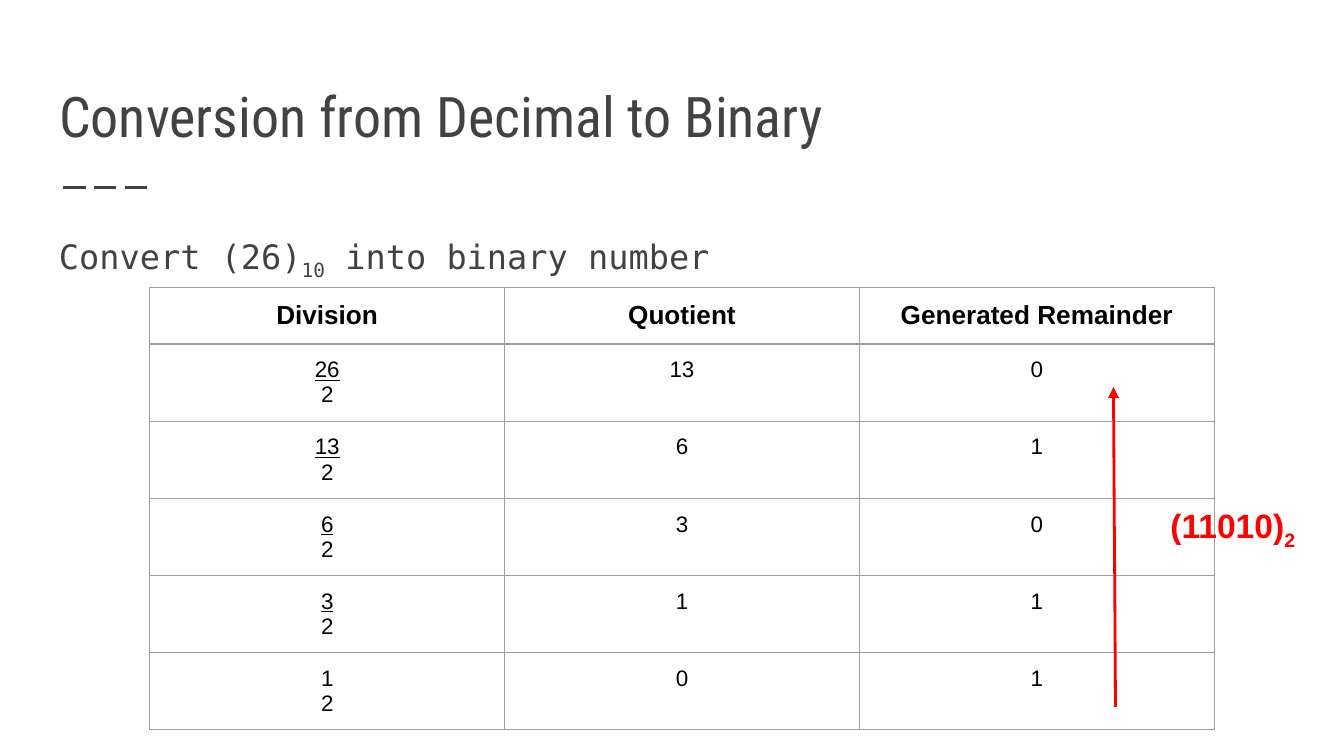
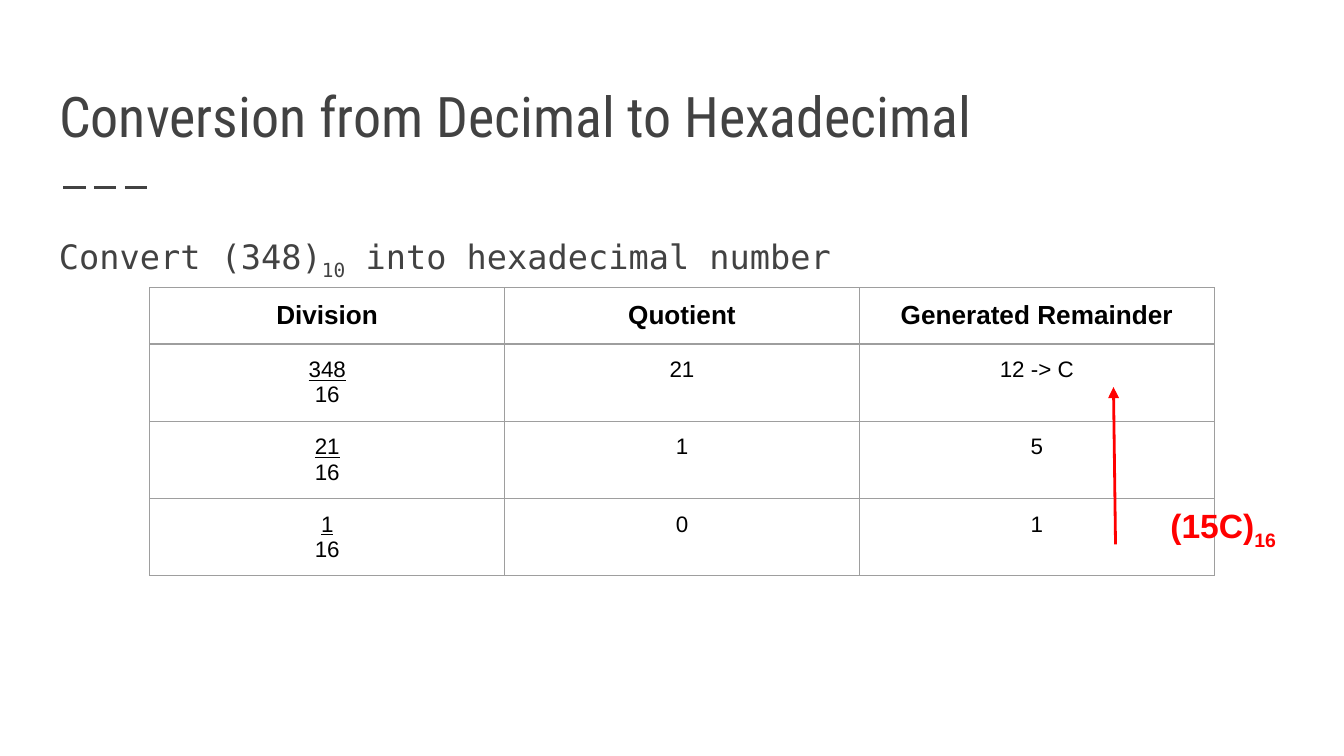
from dataclasses import dataclass
from typing import Any, NamedTuple

from lxml.etree import SubElement
from pptx import Presentation
from pptx.dml.color import RGBColor
from pptx.enum.dml import MSO_LINE
from pptx.enum.shapes import MSO_CONNECTOR
from pptx.enum.text import MSO_ANCHOR, MSO_AUTO_SIZE, PP_ALIGN
from pptx.oxml import parse_xml
from pptx.oxml.ns import nsdecls, qn
from pptx.util import Emu, Pt

EMU_PER_PX = 4572  # 200 px to the inch
COLORS = {"ink": "424242", "black": "000000", "border": "9E9E9E", "result": "FF0000"}
HEADINGS = ("Division", "Quotient", "Generated Remainder")
COLUMN_WIDTH = 528
ROW_HEIGHT = 84
FRAME_HEADER, FRAME_STEP = 86, 120
MARGINS = {f"margin_{side}": Emu(20 * EMU_PER_PX)
           for side in ("left", "top", "right", "bottom")}
FRAME_FORMAT = {**MARGINS, "word_wrap": True, "auto_size": MSO_AUTO_SIZE.NONE}

TITLE = {"name": "Roboto Condensed", "size": Pt(30), "color": "ink"}
TASK = {"name": "DejaVu Sans Mono", "size": Pt(18), "color": "ink"}
HEADING = {"name": "Arial", "size": Pt(14), "bold": True, "color": "black"}
CELL = {"name": "Arial", "size": Pt(12), "bold": False, "color": "black"}
RESULT = {"name": "Arial", "size": Pt(18), "bold": True, "color": "result"}


class Box(NamedTuple):
    left: int
    top: int
    width: int
    height: int


class Point(NamedTuple):
    x: int
    y: int


class Step(NamedTuple):
    dividend: str
    quotient: str
    remainder: str
    underlined: bool = True


@dataclass(frozen=True)
class Conversion:
    target: str
    number: str
    base: str
    digits: str
    arrow_start: int
    steps: tuple[Step, ...]


TITLE_BOX = Box(68, 82, 1864, 160)
TASK_BOX = Box(68, 321, 1864, 678)
RESULT_BOX = Box(1722, 732, 250, 160)
TABLE_CORNER = Point(223, 428)
DASHES_START, DASHES_END = Point(94, 279), Point(228, 279)
ARROW_FOOT_X, ARROW_TIP = 1660, Point(1657, 576)

CONVERSIONS = (
    Conversion("Binary", "26", "2", "11010", 1052, (
        Step("26", "13", "0"),
        Step("13", "6", "1"),
        Step("6", "3", "0"),
        Step("3", "1", "1"),
        Step("1", "0", "1", underlined=False),
    )),
    Conversion("Hexadecimal", "348", "16", "15C", 810, (
        Step("348", "21", "12 -> C"),
        Step("21", "1", "5"),
        Step("1", "0", "1"),
    )),
)


def px(*lengths: int) -> list[Emu]:
    return [Emu(length * EMU_PER_PX) for length in lengths]


def apply(target: Any, values: dict[str, Any]) -> None:
    """Set each attribute of target; color is a key of COLORS."""
    for name, value in values.items():
        if name == "color":
            target.color.rgb = RGBColor.from_string(COLORS[value])
        else:
            setattr(target, name, value)


def add_span(para: Any, text: str, style: dict[str, Any], subscript: bool = False) -> None:
    span = para.add_run()
    span.text = text
    apply(span.font, style)
    if subscript:
        span._r.get_or_add_rPr().set("baseline", "-25000")


def add_text_box(page: Any, box: Box) -> Any:
    """Return the first paragraph of a new text box."""
    frame = page.shapes.add_textbox(*px(*box)).text_frame
    apply(frame, FRAME_FORMAT)
    return frame.paragraphs[0]


def add_line(page: Any, start: Point, end: Point, color: str) -> Any:
    connector = page.shapes.add_connector(MSO_CONNECTOR.STRAIGHT, *px(*start, *end))
    apply(connector.line, {"color": color, "width": Pt(1.5)})
    SubElement(connector._element.spPr, qn("a:effectLst"))
    return connector.line


def add_arrow(page: Any, start: Point, end: Point) -> None:
    line = add_line(page, start, end, "result")
    SubElement(line._get_or_add_ln(), qn("a:tailEnd"), type="triangle")


def add_title(page: Any, text: str) -> None:
    title = page.shapes.title
    apply(title, dict(zip(("left", "top", "width", "height"), px(*TITLE_BOX))))
    apply(title.text_frame, {**FRAME_FORMAT, "vertical_anchor": MSO_ANCHOR.BOTTOM})
    para = title.text_frame.paragraphs[0]
    para.alignment = PP_ALIGN.LEFT
    add_span(para, text, TITLE)
    dashes = add_line(page, DASHES_START, DASHES_END, "ink")
    dashes.dash_style = MSO_LINE.LONG_DASH


def add_borders(cell: Any) -> None:
    properties = cell._tc.get_or_add_tcPr()
    for position, side in enumerate("LRTB"):
        properties.insert(position, parse_xml(
            f'<a:ln{side} {nsdecls("a")} w="9525"><a:solidFill>'
            f'<a:srgbClr val="{COLORS["border"]}"/></a:solidFill></a:ln{side}>'))


def fill_cell(cell: Any, lines: list[str], style: dict[str, Any],
              underlined: bool = False) -> None:
    """Write one centred paragraph a line; underlined marks the first as a numerator."""
    apply(cell, MARGINS)
    cell.fill.background()
    add_borders(cell)
    frame = cell.text_frame
    for index, text in enumerate(lines):
        para = frame.add_paragraph() if index else frame.paragraphs[0]
        para.alignment = PP_ALIGN.CENTER
        add_span(para, text, {**style, "underline": underlined and index == 0})


def add_division_table(page: Any, conversion: Conversion) -> None:
    steps = conversion.steps
    frame_height = FRAME_HEADER + FRAME_STEP * len(steps)
    frame = page.shapes.add_table(
        len(steps) + 1, len(HEADINGS),
        *px(*TABLE_CORNER, COLUMN_WIDTH * len(HEADINGS), frame_height))
    table = frame.table
    apply(table, {"first_row": False, "horz_banding": False})
    for row in table.rows:
        row.height = Emu(ROW_HEIGHT * EMU_PER_PX)
    frame.height = Emu(frame_height * EMU_PER_PX)
    for column, heading in enumerate(HEADINGS):
        fill_cell(table.cell(0, column), [heading], HEADING)
    for row, step in enumerate(steps, start=1):
        fill_cell(table.cell(row, 0), [step.dividend, conversion.base], CELL, step.underlined)
        fill_cell(table.cell(row, 1), [step.quotient], CELL)
        fill_cell(table.cell(row, 2), [step.remainder], CELL)


def add_conversion_page(deck: Any, conversion: Conversion) -> None:
    page = deck.slides.add_slide(deck.slide_layouts[5])
    add_title(page, f"Conversion from Decimal to {conversion.target}")

    task = add_text_box(page, TASK_BOX)
    task.line_spacing = 1.15
    add_span(task, f"Convert ({conversion.number})", TASK)
    add_span(task, "10", TASK, subscript=True)
    add_span(task, f" into {conversion.target.lower()} number", TASK)

    add_division_table(page, conversion)
    add_arrow(page, Point(ARROW_FOOT_X, conversion.arrow_start), ARROW_TIP)

    result = add_text_box(page, RESULT_BOX)
    add_span(result, f"({conversion.digits})", RESULT)
    add_span(result, conversion.base, RESULT, subscript=True)


def main() -> None:
    deck = Presentation()
    deck.slide_width, deck.slide_height = px(2000, 1125)
    for conversion in CONVERSIONS:
        add_conversion_page(deck, conversion)
    deck.save("out.pptx")


if __name__ == "__main__":
    main()
